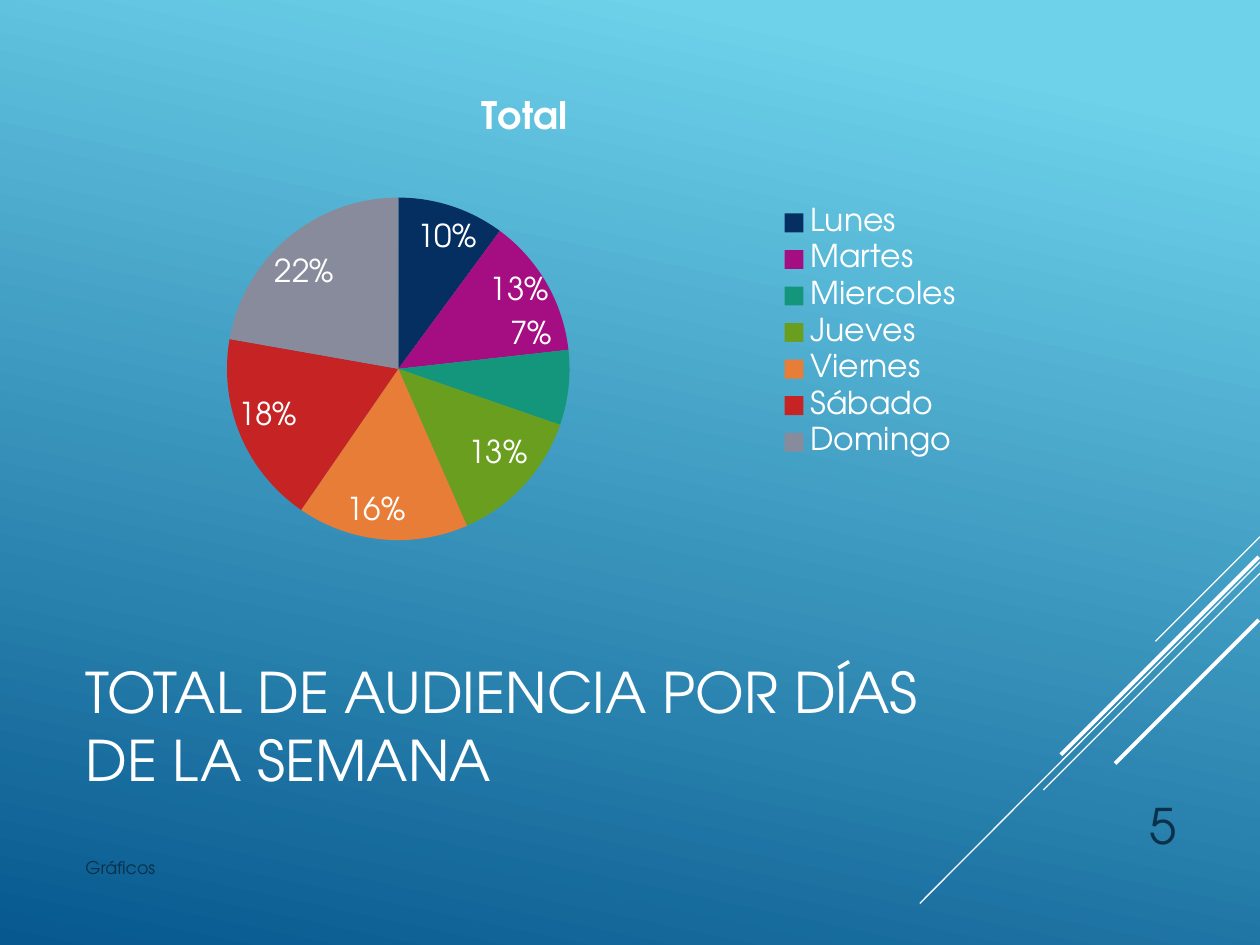
from dataclasses import dataclass

from lxml import etree
from pptx import Presentation
from pptx import util as u
from pptx.chart.data import CategoryChartData
from pptx.dml.color import RGBColor
from pptx.enum import chart as charts, shapes, text
from pptx.oxml import parse_xml
from pptx.oxml.ns import qn

FONT = "TeX Gyre Adventor"
COLOURS = {"white": "FFFFFF", "navy": "0A304A", "sky": "6ED2EB", "deep": "06588E"}
CHART_NS = "http://schemas.openxmlformats.org/drawingml/2006/chart"


@dataclass
class Stripe:
    x1: float
    y1: float
    x2: float
    y2: float
    width: float


@dataclass
class Label:
    wording: str
    box: tuple[float, float, float, float]
    size: float
    colour: str
    anchor: text.MSO_ANCHOR = text.MSO_ANCHOR.TOP
    align: text.PP_ALIGN = text.PP_ALIGN.LEFT


@dataclass
class Day:
    name: str
    percent: int
    colour: str
    label_dx: float
    label_dy: float


STRIPES = [
    Stripe(10, 4.26, 9.17, 5.09, 0.75),
    Stripe(10, 4.46, 7.3, 7.17, 0.75),
    Stripe(10, 4.55, 8.28, 6.27, 0.75),
    Stripe(9.99, 4.42, 8.42, 5.99, 2.25),
    Stripe(9.99, 4.92, 8.85, 6.06, 2.25),
]
LABELS = [
    Label("TOTAL DE AUDIENCIA POR DÍAS DE LA SEMANA", (0.58, 4.92, 7.17, 1.67), 32,
          "white", text.MSO_ANCHOR.MIDDLE),
    Label("Gráficos", (0.58, 6.75, 6.36, 0.4), 10, "navy"),
    Label("5", (8.5, 6.1, 0.94, 0.73), 28, "navy",
          text.MSO_ANCHOR.BOTTOM, text.PP_ALIGN.RIGHT),
]
DAYS = [
    Day("Lunes", 10, "052F61", 0.03, 0.02),
    Day("Martes", 13, "A50E82", 0.01, -0.02),
    Day("Miercoles", 7, "14967C", -0.01, -0.07),
    Day("Jueves", 13, "6A9E1F", 0.01, -0.02),
    Day("Viernes", 16, "E87D37", -0.04, -0.01),
    Day("Sábado", 18, "C62324", -0.01, 0),
    Day("Domingo", 22, "888B9B", -0.02, 0.03),
]


def style_font(font, size: float, colour: str, bold: bool = False) -> None:
    font.name = FONT
    font.size = u.Pt(size)
    font.bold = bold
    font.color.rgb = RGBColor.from_string(COLOURS[colour])


def paint_background(slide) -> None:
    fill = slide.background.fill
    fill.gradient()
    fill.gradient_angle = 360 - 102
    for stop, position, name in zip(fill.gradient_stops, (0.1, 1), ("sky", "deep")):
        stop.position = position
        stop.color.rgb = RGBColor.from_string(COLOURS[name])


def draw_stripe(slide, stripe: Stripe) -> None:
    ends = [u.Inches(v) for v in (stripe.x1, stripe.y1, stripe.x2, stripe.y2)]
    line = slide.shapes.add_connector(shapes.MSO_CONNECTOR.STRAIGHT, *ends)
    line.line.width = u.Pt(stripe.width)
    line.line.color.rgb = RGBColor.from_string(COLOURS["white"])
    etree.SubElement(line._element.spPr, qn("a:effectLst"))


def draw_label(slide, label: Label) -> None:
    shape = slide.shapes.add_textbox(*[u.Inches(v) for v in label.box])
    frame = shape.text_frame
    frame.word_wrap = True
    frame.vertical_anchor = label.anchor
    paragraph = frame.paragraphs[0]
    paragraph.alignment = label.align
    run = paragraph.add_run()
    run.text = label.wording
    style_font(run.font, label.size, label.colour)


def manual_layout(**values: float | str):
    entries = "".join(f'<c:{key} val="{value}"/>' for key, value in values.items())
    return parse_xml(f'<c:layout xmlns:c="{CHART_NS}"><c:manualLayout>{entries}'
                     "</c:manualLayout></c:layout>")


def set_plot_layout(chart) -> None:
    area = chart._chartSpace.chart.plotArea
    for layout in area.findall(qn("c:layout")):
        area.remove(layout)
    area.insert(0, manual_layout(layoutTarget="inner", xMode="edge", yMode="edge",
                                 x=0.17, y=0.24, w=0.38, h=0.66))


def place_percentages(series, days: list[Day]) -> None:
    labels = series.data_labels
    labels.show_percentage = True
    labels.show_value = False
    labels.show_legend_key = False
    labels.number_format = "0%"
    labels.number_format_is_linked = False
    labels.position = charts.XL_LABEL_POSITION.INSIDE_END
    style_font(labels.font, 18, "white")

    for index in range(len(days)):
        series.points[index].data_label.position = charts.XL_LABEL_POSITION.INSIDE_END
    for element, day in zip(labels._element.findall(qn("c:dLbl")), days):
        element.insert(1, manual_layout(x=day.label_dx, y=day.label_dy))
        for key, value in (("showVal", "0"), ("showPercent", "1")):
            element.find(qn(f"c:{key}")).set("val", value)


def draw_pie(slide, days: list[Day]) -> None:
    data = CategoryChartData()
    data.categories = [day.name for day in days]
    data.add_series("Total", [day.percent for day in days])
    box = [u.Inches(v) for v in (0.58, 0.58, 7.17, 4.12)]
    chart = slide.shapes.add_chart(charts.XL_CHART_TYPE.PIE, *box, data).chart
    style_font(chart.font, 18, "white")

    chart.has_title = True
    run = chart.chart_title.text_frame.paragraphs[0].add_run()
    run.text = "Total"
    style_font(run.font, 21.6, "white", bold=True)

    chart.has_legend = True
    chart.legend.position = charts.XL_LEGEND_POSITION.RIGHT
    chart.legend.include_in_layout = False
    style_font(chart.legend.font, 18, "white")

    plot = chart.plots[0]
    plot.vary_by_categories = True
    series = plot.series[0]
    for index, day in enumerate(days):
        fill = series.points[index].format.fill
        fill.solid()
        fill.fore_color.rgb = RGBColor.from_string(day.colour)
    place_percentages(series, days)
    set_plot_layout(chart)


def main() -> None:
    presentation = Presentation()
    presentation.slide_width = u.Inches(10)
    presentation.slide_height = u.Inches(7.5)
    slide = presentation.slides.add_slide(presentation.slide_layouts[6])
    paint_background(slide)
    for stripe in STRIPES:
        draw_stripe(slide, stripe)
    draw_pie(slide, DAYS)
    for label in LABELS:
        draw_label(slide, label)
    presentation.save("out.pptx")


if __name__ == "__main__":
    main()
